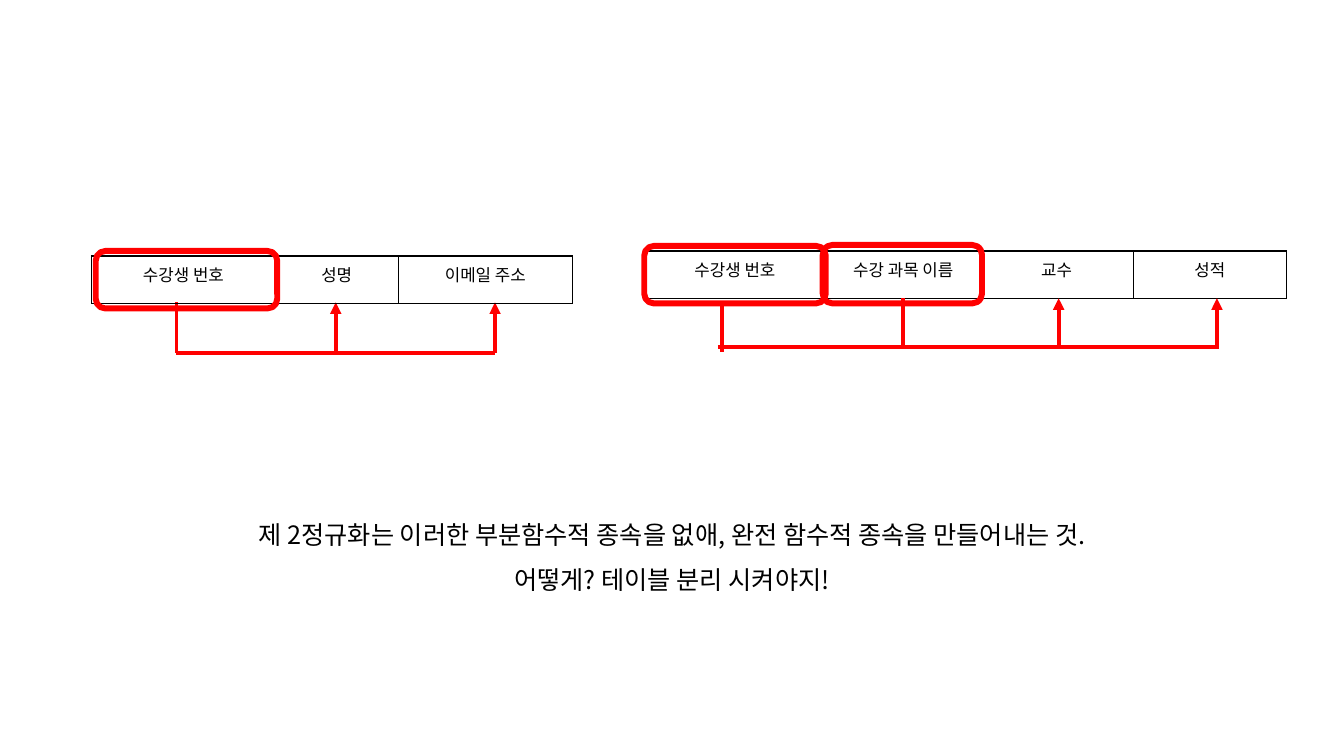
"""Build a slide showing two tables split by second normal form."""
from lxml.etree import SubElement
from pptx import Presentation
from pptx.dml.color import RGBColor
from pptx.enum.shapes import MSO_CONNECTOR, MSO_SHAPE
from pptx.enum.text import MSO_AUTO_SIZE, PP_ALIGN
from pptx.oxml import parse_xml
from pptx.oxml.ns import nsdecls, qn
from pptx.util import Inches, Pt

RED = RGBColor(0xFF, 0x00, 0x00)
BLACK = RGBColor(0x00, 0x00, 0x00)
FONT = "Noto Sans CJK KR"

deck = Presentation()
deck.slide_width, deck.slide_height = Inches(13.33), Inches(7.5)
slide = deck.slides.add_slide(deck.slide_layouts[6])
shapes = slide.shapes


def style(para, size):
    para.alignment = PP_ALIGN.CENTER
    para.font.size = Pt(size)
    para.font.name = FONT
    para.font.color.rgb = BLACK
    props = para._p.pPr.find(qn("a:defRPr"))
    SubElement(props, qn("a:ea")).set("typeface", FONT)


def draw(lines):
    for x1, y1, x2, y2, arrow in lines:
        line = shapes.add_connector(
            MSO_CONNECTOR.STRAIGHT, Inches(x1), Inches(y1), Inches(x2), Inches(y2))
        line.line.color.rgb = RED
        line.line.width = Pt(2.75)
        if arrow:
            SubElement(line.line._get_or_add_ln(), qn("a:tailEnd")).set("type", "triangle")
        SubElement(line._element.spPr, qn("a:effectLst"))


draw([
    (1.75, 3, 1.75, 3.5, False),
    (7.16, 2.99, 7.16, 3.49, False),
    (1.75, 3.5, 4.91, 3.5, False),
    (3.33, 3.5, 3.33, 3, True),
    (4.91, 3.5, 4.91, 3, True),
])

note = shapes.add_textbox(Inches(0.97), Inches(4.95), Inches(11.39), Inches(0.94))
frame = note.text_frame
frame.word_wrap = True
frame.auto_size = MSO_AUTO_SIZE.SHAPE_TO_FIT_TEXT
frame.text = ("제 2정규화는 이러한 부분함수적 종속을 없애, 완전 함수적 종속을 만들어내는 것.\n"
              "어떻게? 테이블 분리 시켜야지!")
for para in frame.paragraphs:
    para.line_spacing = 1.5
    style(para, 18)

tables = [
    (0.91, 2.54, [("수강생 번호", 1.82), ("성명", 1.22), ("이메일 주소", 1.73)]),
    (6.38, 2.49, [("수강생 번호", 1.82), ("수강 과목 이름", 1.52),
                  ("교수", 1.52), ("성적", 1.52)]),
]
keys = [(0.95, 2.49, 1.8, 0.57), (6.39, 2.44, 1.8, 0.57), (8.16, 2.43, 1.58, 0.58)]

for left, top, fields in tables:
    width = sum(size for name, size in fields)
    table = shapes.add_table(
        1, len(fields), Inches(left), Inches(top), Inches(width), Inches(0.47)).table
    table.first_row = table.horz_banding = False
    for col, (name, size) in enumerate(fields):
        table.columns[col].width = Inches(size)
        cell = table.cell(0, col)
        cell.text = name
        cell.margin_left = cell.margin_right = Inches(0.13)
        cell.margin_top = cell.margin_bottom = Inches(0.06)
        cell.fill.background()
        style(cell.text_frame.paragraphs[0], 12)
        props = cell._tc.get_or_add_tcPr()
        for spot, side in enumerate("LRTB"):
            props.insert(spot, parse_xml(
                f'<a:ln{side} {nsdecls("a")} w="{Pt(1)}"><a:solidFill>'
                f'<a:srgbClr val="{BLACK}"/></a:solidFill></a:ln{side}>'))

for left, top, width, height in keys:
    key = shapes.add_shape(
        MSO_SHAPE.ROUNDED_RECTANGLE, Inches(left), Inches(top), Inches(width), Inches(height))
    key.shadow.inherit = False
    key.fill.background()
    key.line.color.rgb = RED
    key.line.width = Pt(4.25)

draw([
    (8.96, 2.96, 8.96, 3.46, False),
    (7.12, 3.44, 12.07, 3.44, False),
    (10.5, 3.46, 10.5, 2.96, True),
    (12.07, 3.46, 12.07, 2.96, True),
])

deck.save("out.pptx")
